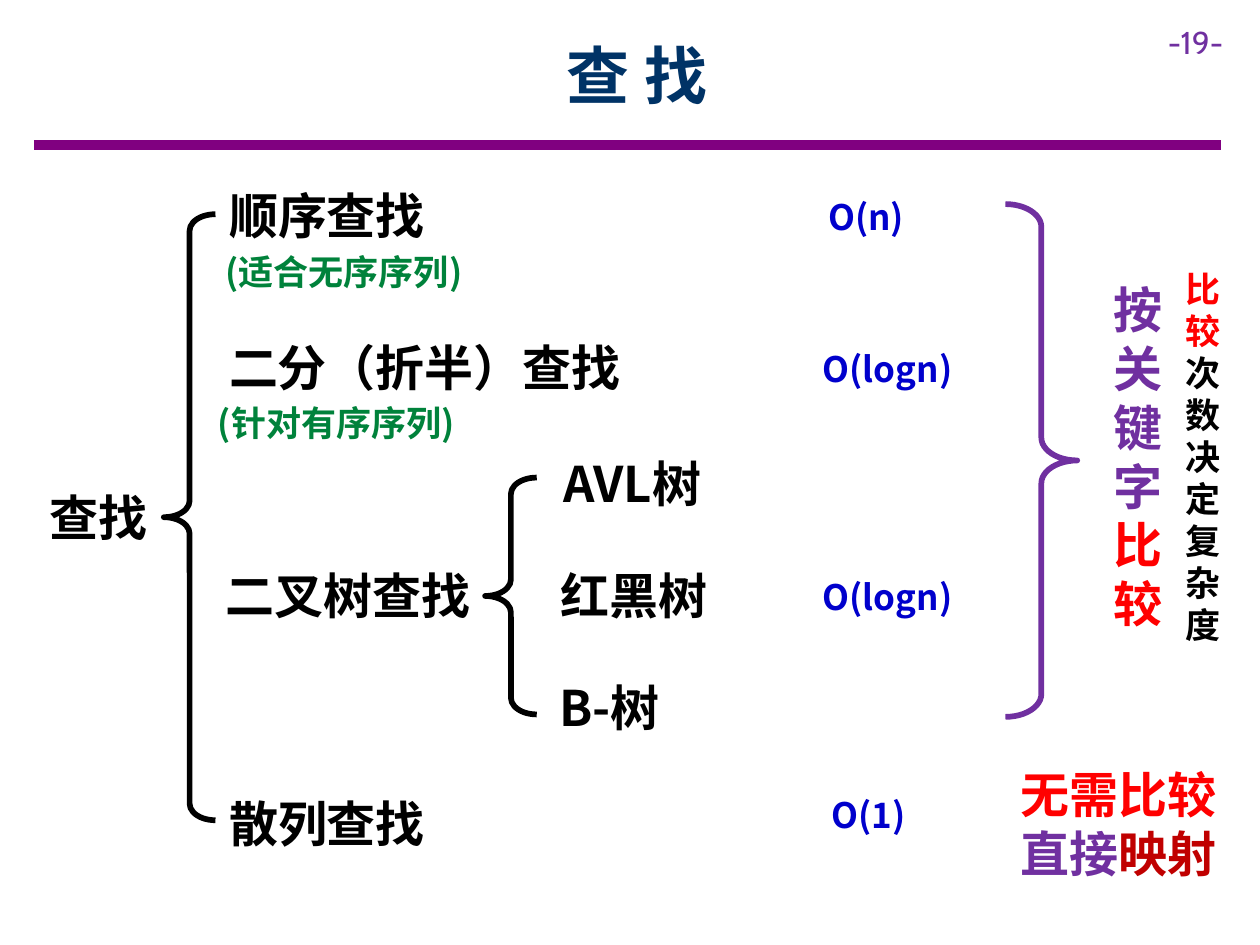
from pptx import Presentation
from pptx.dml.color import RGBColor
from pptx.enum.shapes import MSO_CONNECTOR, MSO_SHAPE
from pptx.enum.text import MSO_ANCHOR, PP_ALIGN
from pptx.oxml.ns import qn
from pptx.util import Inches, Pt
from lxml import etree

BLACK = RGBColor(0x00, 0x00, 0x00)
WHITE = RGBColor(0xFF, 0xFF, 0xFF)
NAVY = RGBColor(0x00, 0x33, 0x66)
BLUE = RGBColor(0x00, 0x00, 0xCC)
GREEN = RGBColor(0x00, 0x82, 0x3B)
PURPLE = RGBColor(0x70, 0x30, 0xA0)
PLUM = RGBColor(0x80, 0x00, 0x80)
RED = RGBColor(0xFF, 0x00, 0x00)
DARK_RED = RGBColor(0xC0, 0x00, 0x00)
CJK = "Noto Sans CJK SC"

prs = Presentation()
prs.slide_width, prs.slide_height = Inches(10), Inches(7.5)
s = prs.slides.add_slide(prs.slide_layouts[6])


def add_text(text, box, size=28, color=BLACK, font=CJK, bold=True,
             align=PP_ALIGN.LEFT, anchor=MSO_ANCHOR.TOP):
    lines = [[(text, color)]] if isinstance(text, str) else text
    tf = s.shapes.add_textbox(*map(Inches, box)).text_frame
    tf.word_wrap = True
    tf.vertical_anchor = anchor
    for i, line in enumerate(lines):
        p = tf.paragraphs[0] if i == 0 else tf.add_paragraph()
        p.alignment = align
        for run_text, run_color in line:
            r = p.add_run()
            r.text = run_text
            r.font.name, r.font.size, r.font.bold = font, Pt(size), bold
            r.font.color.rgb = run_color
            ea = etree.SubElement(r.font._element, qn("a:ea"))
            ea.set("typeface", font)


rule = s.shapes.add_connector(MSO_CONNECTOR.STRAIGHT, Inches(0.27), Inches(1.15),
                              Inches(9.69), Inches(1.15))
rule.line.color.rgb = PLUM
rule.line.width = Pt(6)
etree.SubElement(rule._element.spPr, qn("a:effectLst"))

for kind, box, color in [
    (MSO_SHAPE.LEFT_BRACE, (1.3, 1.7, 0.41, 4.81), BLACK),
    (MSO_SHAPE.LEFT_BRACE, (3.85, 3.79, 0.41, 1.88), BLACK),
    (MSO_SHAPE.RIGHT_BRACE, (7.98, 1.62, 0.57, 4.07), PURPLE),
]:
    sp = s.shapes.add_shape(kind, *map(Inches, box))
    sp.adjustments[0], sp.adjustments[1] = 0.318, 0.5
    sp.shadow.inherit = False
    sp.fill.solid()
    sp.fill.fore_color.rgb = WHITE
    sp.line.color.rgb = color
    sp.line.width = Pt(3.25)

add_text("-19-", (9.17, 0.13, 0.83, 0.4), size=18, color=PURPLE, font="Cabin", bold=False)
add_text("查 找", (0.9, 0.09, 8.31, 1), size=36, color=NAVY,
         align=PP_ALIGN.CENTER, anchor=MSO_ANCHOR.MIDDLE)
add_text("查找", (-0.08, 3.82, 1.73, 0.57), align=PP_ALIGN.CENTER)

for text, x, y, w in [
    ("顺序查找", 1.72, 1.42, 1.98),
    ("二分（折半）查找", 1.72, 2.63, 3.36),
    ("二叉树查找", 1.69, 4.44, 2.16),
    ("散列查找", 1.72, 6.25, 2.52),
    ("AVL树", 4.37, 3.55, 1.41),
    ("红黑树", 4.35, 4.44, 2.16),
    ("B-树", 4.34, 5.33, 2.16),
]:
    add_text(text, (x, y, w, 0.57))

for text, x, y in [("(适合无序序列)", 1.69, 1.94), ("(针对有序序列)", 1.63, 3.14)]:
    add_text(text, (x, y, 2.58, 0.44), size=20, color=GREEN)

for text, x, y, align in [
    ("O(n)", 6.16, 1.5, PP_ALIGN.CENTER),
    ("O(logn)", 6.43, 2.71, PP_ALIGN.LEFT),
    ("O(logn)", 6.43, 4.52, PP_ALIGN.LEFT),
    ("O(1)", 6.18, 6.25, PP_ALIGN.CENTER),
]:
    add_text(text, (x, y, 1.43, 0.44), size=20, color=BLUE, align=align)

add_text([[("按关键字", PURPLE), ("比较", RED)]], (8.74, 2.17, 0.71, 2.93))
add_text([[("比较", RED), ("次数决定复杂度", BLACK)]], (9.31, 2.07, 0.71, 3.13), size=20)
add_text([[("无需比较", RED)], [("直接", PURPLE), ("映射", DARK_RED)]], (8, 6.02, 2, 1.04))

prs.save("out.pptx")
